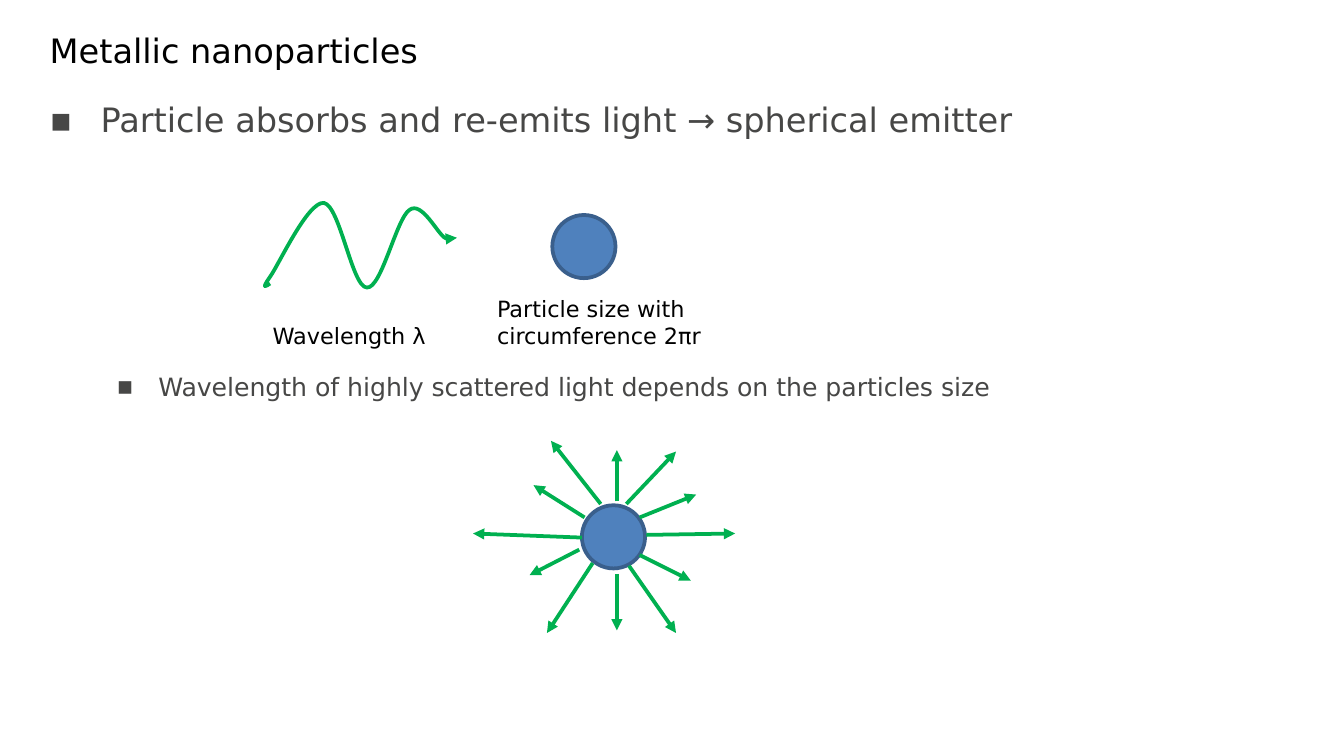
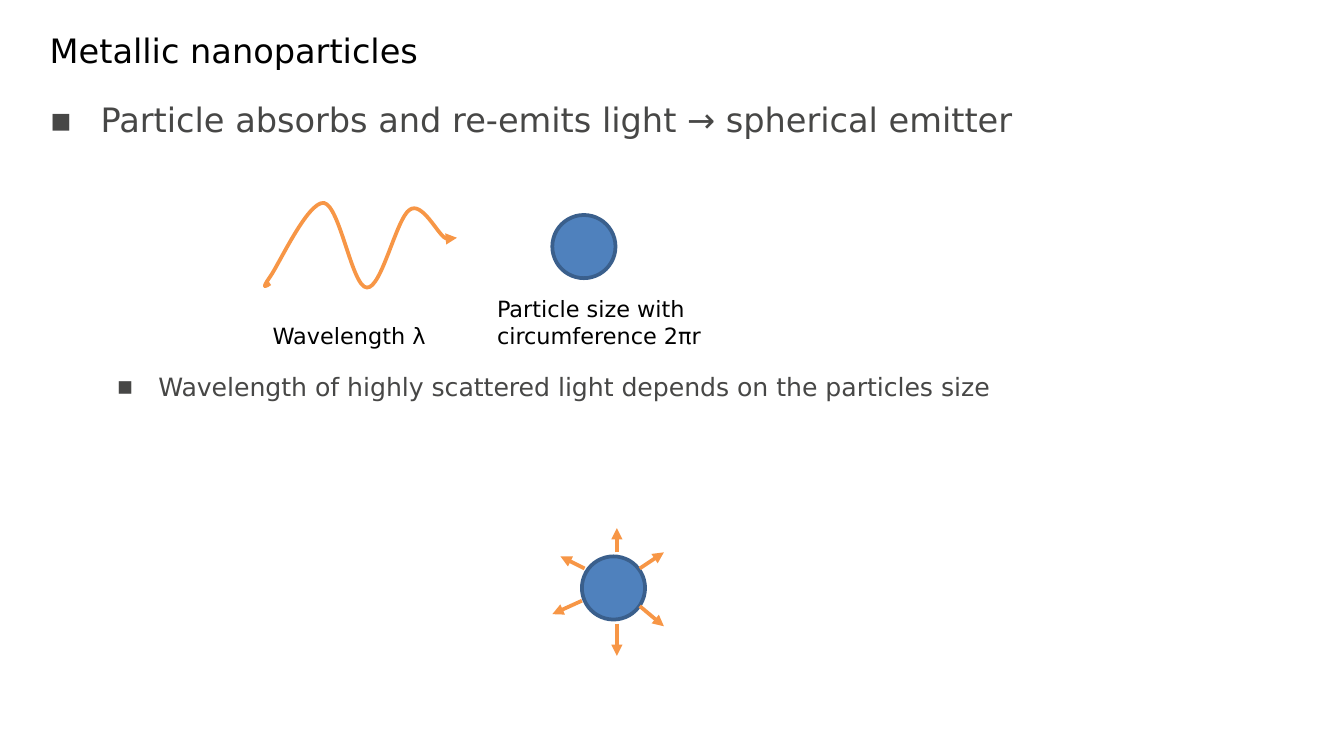
from lxml import etree
from pptx import Presentation
from pptx.dml.color import RGBColor
from pptx.enum.shapes import MSO_CONNECTOR, MSO_SHAPE
from pptx.enum.text import MSO_ANCHOR, PP_ALIGN
from pptx.oxml.ns import qn
from pptx.util import Inches, Pt

OVAL, STRAIGHT = MSO_SHAPE.OVAL, MSO_CONNECTOR.STRAIGHT
LEFT, MIDDLE = PP_ALIGN.LEFT, MSO_ANCHOR.MIDDLE

FONT = "DejaVu Sans"
BLACK, GREY, BLUE, NAVY = "000000", "474746", "4F81BD", "3A5F8C"
GREEN, ORANGE = "00B050", "F79646"
WIDTH = 10
HEIGHT = WIDTH * 9 / 16
MARGIN, SPAN = 0.27, 9.45
SIZE, STROKE = 0.47, 2

TITLE = "Metallic nanoparticles"
# text, level, size, indent, hang, space before
BULLETS = [
    ("Particle absorbs and re-emits light → spherical emitter", 0, 18, 0.38, 0.38, 0),
    ("Wavelength of highly scattered light depends on the particles size",
     1, 13.5, 0.81, 0.31, 124),
]
LABELS = [
    ("Wavelength λ", (1.93, 2.35, 2.07, 0.3)),
    ("Particle size with circumference 2πr", (3.6, 2.15, 2.07, 0.51)),
]
SAMPLE = (4.11, 1.6)

# start point, then two control points and an end point for each curve
WAVE = [
    (2.01, 2.11),
    (1.98, 2.13), (1.94, 2.16), (2.01, 2.06),
    (2.08, 1.96), (2.29, 1.5), (2.41, 1.51),
    (2.53, 1.53), (2.62, 2.14), (2.73, 2.14),
    (2.84, 2.15), (2.95, 1.62), (3.05, 1.56),
    (3.14, 1.5), (3.25, 1.73), (3.31, 1.77),
    (3.37, 1.8), (3.39, 1.79), (3.4, 1.77),
]

# each ray runs from the particle outward: x1, y1, x2, y2
STRONG = [
    (4.76, 3.85, 5.18, 3.68), (4.76, 4.13, 5.14, 4.32), (4.35, 3.85, 3.97, 3.61),
    (4.59, 3.73, 4.59, 3.35), (4.31, 4.09, 3.94, 4.28), (4.59, 4.27, 4.59, 4.69),
    (4.66, 3.75, 5.03, 3.36), (4.81, 3.98, 5.47, 3.97), (4.33, 4, 3.52, 3.97),
    (4.41, 4.19, 4.07, 4.71), (4.68, 4.21, 5.03, 4.71), (4.47, 3.75, 4.1, 3.28),
]
WEAK = [
    (4.76, 4.23, 4.94, 4.11), (4.76, 4.51, 4.94, 4.66), (4.35, 4.23, 4.17, 4.14),
    (4.59, 4.11, 4.59, 3.93), (4.33, 4.47, 4.11, 4.57), (4.59, 4.64, 4.59, 4.88),
]
SLIDES = [
    {"hue": GREEN, "emitter": (4.33, 3.76), "rays": STRONG},
    {"hue": ORANGE, "emitter": (4.33, 4.14), "rays": WEAK},
]


def color(code):
    return RGBColor.from_string(code)


def style(para, size, hue):
    for key, value in {"name": FONT, "size": Pt(size)}.items():
        setattr(para.font, key, value)
    para.font.color.rgb = color(hue)


def place(shape, box):
    for key, value in zip(("left", "top", "width", "height"), box):
        setattr(shape, key, Inches(value))


def text_box(slide, box):
    frame = slide.shapes.add_textbox(*map(Inches, box)).text_frame
    frame.word_wrap = True
    return frame


def stroke(shape, hue, head=False):
    shape.line.color.rgb = color(hue)
    shape.line.width = Pt(STROKE)
    if head:
        line = shape._element.spPr.find(qn("a:ln"))
        etree.SubElement(line, qn("a:tailEnd"), type="triangle")


def add_title(slide):
    title = slide.shapes.title
    place(title, (MARGIN, 0.15, SPAN, 0.45))
    frame = title.text_frame
    frame.text = TITLE
    frame.vertical_anchor = MIDDLE
    para = frame.paragraphs[0]
    para.alignment = LEFT
    style(para, 18, BLACK)


def add_bullets(slide):
    frame = text_box(slide, (MARGIN, 0.69, SPAN, 4.14))
    for i, (text, level, size, indent, hang, gap) in enumerate(BULLETS):
        para = frame.add_paragraph() if i else frame.paragraphs[0]
        para.text = text
        props = para._p.get_or_add_pPr()
        props.set("marL", str(Inches(indent)))
        props.set("indent", str(-Inches(hang)))
        etree.SubElement(props, qn("a:buFont"), typeface=FONT)
        etree.SubElement(props, qn("a:buChar"), char="▪")
        para.level = level
        if gap:
            para.space_before = Pt(gap)
        style(para, size, GREY)


def add_ball(slide, spot):
    ball = slide.shapes.add_shape(OVAL, *map(Inches, (*spot, SIZE, SIZE)))
    ball.shadow.inherit = False
    ball.fill.solid()
    ball.fill.fore_color.rgb = color(BLUE)
    stroke(ball, NAVY)


def add_wave(slide, hue):
    start, *points = [tuple(map(Inches, point)) for point in WAVE]
    outline = slide.shapes.build_freeform(*start)
    outline.add_line_segments(points, close=False)
    wave = outline.convert_to_shape()
    # Each three straight steps become one curve.
    steps = list(wave._element.iter(qn("a:lnTo")))
    for i in range(0, len(steps), 3):
        curve = etree.Element(qn("a:cubicBezTo"))
        steps[i].addprevious(curve)
        for step in steps[i:i + 3]:
            curve.append(step[0])
            step.getparent().remove(step)
    wave.shadow.inherit = False
    wave.fill.background()
    stroke(wave, hue, head=True)


def add_ray(slide, ends, hue):
    ray = slide.shapes.add_connector(STRAIGHT, *map(Inches, ends))
    stroke(ray, hue, head=True)
    etree.SubElement(ray._element.spPr, qn("a:effectLst"))


def add_slide(deck, hue, emitter, rays):
    slide = deck.slides.add_slide(deck.slide_layouts[5])
    add_title(slide)
    add_bullets(slide)
    add_ball(slide, SAMPLE)
    add_wave(slide, hue)
    for text, box in LABELS:
        para = text_box(slide, box).paragraphs[0]
        para.text = text
        style(para, 12, BLACK)
    add_ball(slide, emitter)
    for ends in rays:
        add_ray(slide, ends, hue)


def main():
    deck = Presentation()
    deck.slide_width, deck.slide_height = Inches(WIDTH), Inches(HEIGHT)
    for data in SLIDES:
        add_slide(deck, **data)
    deck.save("out.pptx")


if __name__ == "__main__":
    main()
